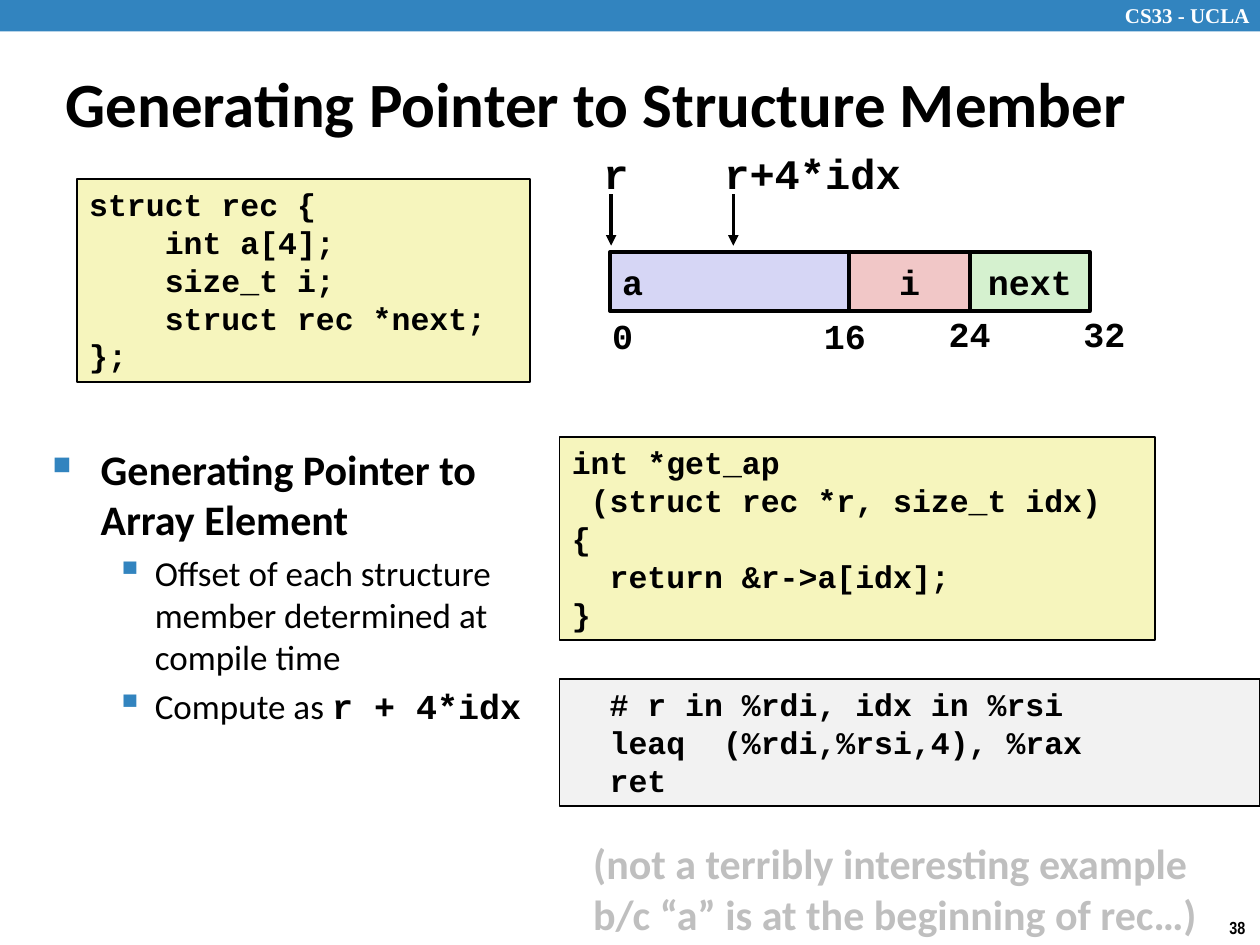
from dataclasses import dataclass

from lxml.etree import SubElement
from pptx import Presentation
from pptx.dml.color import RGBColor
from pptx.enum.shapes import MSO_CONNECTOR as Connector, MSO_SHAPE as Preset
from pptx.enum.text import MSO_ANCHOR as Anchor, PP_ALIGN as Align
from pptx.oxml.ns import qn
from pptx.util import Inches, Pt

CODE = "Courier New"
BLUE = "3284BF"
YELLOW = "F6F5BD"


@dataclass
class Style:
    font: str = CODE
    size: int = 20
    color: str = "000000"
    bold: bool = True


@dataclass
class Label:
    text: str
    left: float
    top: float
    width: float
    height: float
    style: Style
    wrap: bool = False


@dataclass
class CodeBox:
    lines: list[str]
    left: float
    top: float
    width: float
    height: float
    fill: str


@dataclass
class Field:
    name: str
    left: float
    width: float
    fill: str
    align: Align


@dataclass
class Bullet:
    runs: list[tuple[str, Style]]
    level: int
    mark: str
    mark_percent: int
    margin: float
    hanging: float
    space_before: float


def rgb(value: str) -> RGBColor:
    return RGBColor.from_string(value)


def apply(target, values: dict) -> None:
    for name, value in values.items():
        setattr(target, name, value)


def add_run(paragraph, text: str, style: Style) -> None:
    run = paragraph.add_run()
    run.text = text
    apply(run.font, {"name": style.font, "size": Pt(style.size), "bold": style.bold})
    run.font.color.rgb = rgb(style.color)


def add_lines(frame, lines: list[str], style: Style, align=Align.LEFT) -> None:
    for number, line in enumerate(lines):
        paragraph = frame.add_paragraph() if number else frame.paragraphs[0]
        paragraph.alignment = align
        add_run(paragraph, line, style)


def add_box(slide, left, top, width, height, fill: str, line_width: float = 0):
    box = slide.shapes.add_shape(
        Preset.RECTANGLE, Inches(left), Inches(top), Inches(width), Inches(height))
    box.shadow.inherit = False
    box.fill.solid()
    box.fill.fore_color.rgb = rgb(fill)
    if line_width:
        box.line.color.rgb = rgb("000000")
        box.line.width = Pt(line_width)
    else:
        box.line.fill.background()
    return box


def add_label(slide, label: Label) -> None:
    box = slide.shapes.add_textbox(
        Inches(label.left), Inches(label.top), Inches(label.width), Inches(label.height))
    box.text_frame.word_wrap = label.wrap
    add_lines(box.text_frame, [label.text], label.style)


def add_code(slide, code: CodeBox) -> None:
    box = add_box(slide, code.left, code.top, code.width, code.height, code.fill, 1)
    apply(box.text_frame, {"word_wrap": True, "vertical_anchor": Anchor.TOP})
    add_lines(box.text_frame, code.lines, Style(size=18))


def add_field(slide, field: Field) -> None:
    box = add_box(slide, field.left, 2, field.width, 0.47, field.fill, 2)
    apply(box.text_frame, {"word_wrap": False, "vertical_anchor": Anchor.MIDDLE})
    add_lines(box.text_frame, [field.name], Style(), field.align)


def add_pointer(slide, x: float) -> None:
    arrow = slide.shapes.add_connector(
        Connector.STRAIGHT, Inches(x), Inches(1.54), Inches(x), Inches(1.95))
    arrow.line.color.rgb = rgb("000000")
    arrow.line.width = Pt(2)
    SubElement(arrow.line._get_or_add_ln(), qn("a:tailEnd"), type="triangle")
    SubElement(arrow._element.spPr, qn("a:effectLst"))


def add_bullet(paragraph, bullet: Bullet) -> None:
    props = paragraph._p.get_or_add_pPr()
    props.set("marL", str(Inches(bullet.margin)))
    props.set("indent", str(-Inches(bullet.hanging)))
    SubElement(SubElement(props, qn("a:buClr")), qn("a:srgbClr"), val=BLUE)
    SubElement(props, qn("a:buSzPct"), val=str(bullet.mark_percent * 1000))
    SubElement(props, qn("a:buChar"), char=bullet.mark)
    apply(paragraph, {"level": bullet.level, "space_before": Pt(bullet.space_before)})
    for text, style in bullet.runs:
        add_run(paragraph, text, style)


def main() -> None:
    deck = Presentation()
    apply(deck, {"slide_width": Inches(10), "slide_height": Inches(7.5)})
    slide = deck.slides.add_slide(deck.slide_layouts[5])

    add_box(slide, 0, 0, 10, 0.25, BLUE)
    title = slide.shapes.title
    apply(title, {"left": Inches(0.42), "top": Inches(0.5),
                  "width": Inches(9.08), "height": Inches(0.63)})
    title.text_frame.vertical_anchor = Anchor.MIDDLE
    add_lines(title.text_frame, ["Generating Pointer to Structure Member"],
              Style("Calibri", 36))

    struct_lines = ["struct rec {", "    int a[4];", "    size_t i;",
                    "    struct rec *next;", "};"]
    function_lines = ["int *get_ap", " (struct rec *r, size_t idx)", "{",
                      "  return &r->a[idx];", "}"]
    assembly_lines = ["  # r in %rdi, idx in %rsi", "  leaq  (%rdi,%rsi,4), %rax",
                      "  ret"]
    for code in (
        CodeBox(struct_lines, 0.61, 1.42, 3.6, 1.61, YELLOW),
        CodeBox(function_lines, 4.44, 3.47, 4.73, 1.61, YELLOW),
        CodeBox(assembly_lines, 4.44, 5.39, 5.56, 1.01, "F2F2F2"),
    ):
        add_code(slide, code)

    for field in (
        Field("a", 4.84, 1.9, "D6D6F5", Align.LEFT),
        Field("i", 6.74, 0.96, "F1C7C7", Align.CENTER),
        Field("next", 7.7, 0.95, "D5F1CF", Align.CENTER),
    ):
        add_field(slide, field)

    for x in (4.85, 5.82):
        add_pointer(slide, x)

    pointer = Style(size=24)
    remark = "(not a terribly interesting example b/c “a” is at the beginning of rec…)"
    for label in (
        Label("CS33 - UCLA", 8.83, -0.03, 1.24, 0.3,
              Style("Times New Roman", 12, "FFFFFF"), True),
        Label("38", 9.66, 7.23, 0.34, 0.27, Style("Arial Narrow", 10)),
        Label("r", 4.69, 1.12, 0.4, 0.5, pointer),
        Label("r+4*idx", 5.65, 1.12, 1.62, 0.5, pointer),
        Label("0", 4.76, 2.45, 0.36, 0.43, Style()),
        Label("16", 6.44, 2.45, 0.54, 0.43, Style()),
        Label("24", 7.43, 2.43, 0.54, 0.43, Style()),
        Label("32", 8.5, 2.43, 0.54, 0.43, Style()),
        Label(remark, 4.61, 6.6, 5.07, 0.91, Style("Calibri", 24, "BFBFBF"), True),
    ):
        add_label(slide, label)

    heading = Style("Calibri", 24)
    detail = Style("Calibri", bold=False)
    offset = "Offset of each structure member determined at compile time"
    notes = slide.shapes.add_textbox(
        Inches(0.32), Inches(3.47), Inches(4.29), Inches(3.13)).text_frame
    notes.word_wrap = True
    for number, bullet in enumerate((
        Bullet([("Generating Pointer to Array Element", heading)],
               0, "■", 60, 0.38, 0.38, 0),
        Bullet([(offset, detail)], 1, "▪", 110, 0.81, 0.31, 4),
        Bullet([("Compute as ", detail), ("r + 4*idx", Style())],
               1, "▪", 110, 0.81, 0.31, 4),
    )):
        add_bullet(notes.add_paragraph() if number else notes.paragraphs[0], bullet)

    deck.save("out.pptx")


if __name__ == "__main__":
    main()
